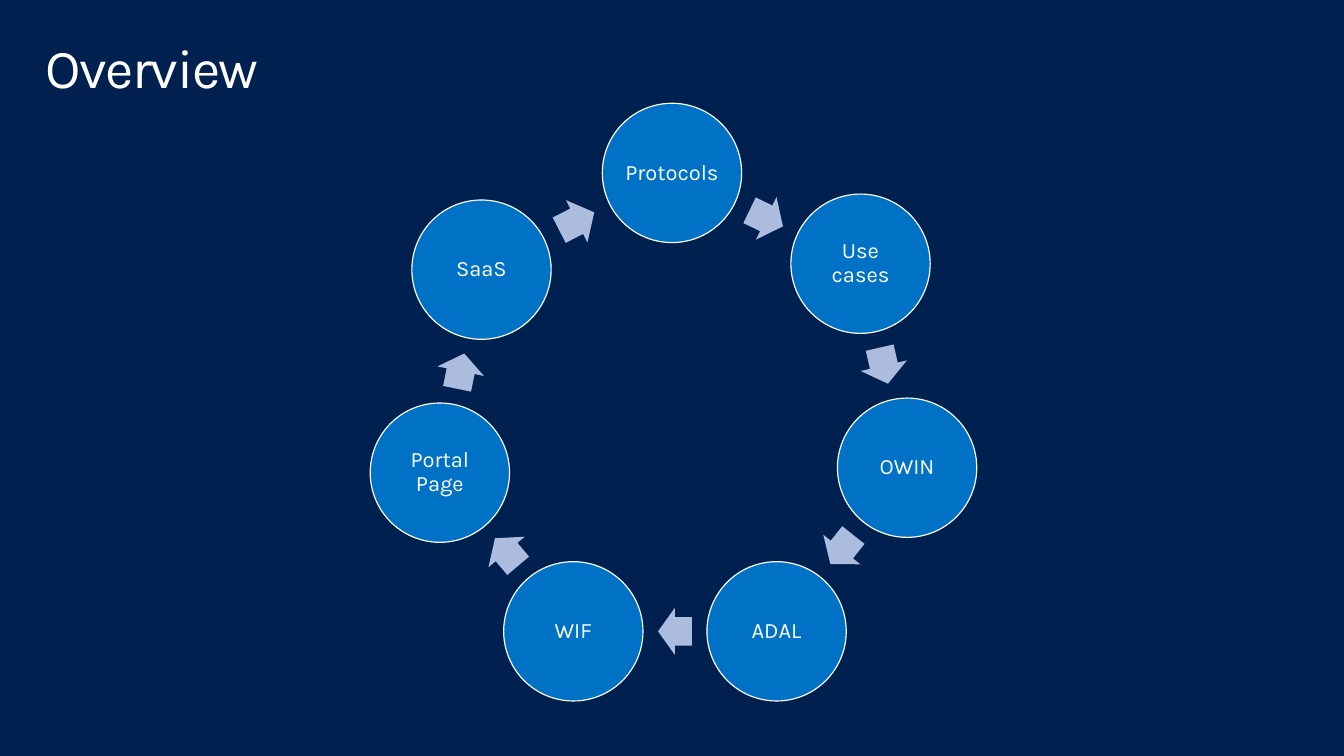
import math
import pptx
import pptx.util
import pptx.dml.color
import pptx.enum.shapes
import pptx.enum.text

Inches, Pt = pptx.util.Inches, pptx.util.Pt
SHAPE = pptx.enum.shapes.MSO_SHAPE
ALIGN = pptx.enum.text.PP_ALIGN
ANCHOR = pptx.enum.text.MSO_ANCHOR

TITLE = "Overview"
# Label and small shift off the even ring, clockwise from the top
STEPS = [
    ("Protocols", 0, 0),
    ("Use cases", 0, 0),
    ("OWIN", 0, 0),
    ("ADAL", 0, 0),
    ("WIF", 0.06, 0),
    ("Portal Page", 0.03, 0.05),
    ("SaaS", -0.02, 0.06),
]
THEME = {
    "font": "Karla", "back": "002050", "ink": "FFFFFF",
    "disc": "0072C6", "arrow": "ABBCDF",
    "title": 40, "label": 16, "edge": 0.85,
}
MID_X, MID_Y, RADIUS = 6.8, 4.19, 2.44
DISC = 1.41
ARROW_H, ARROW_FILL = 0.48, 0.53  # height; share of the gap an arrow fills


def paint(fill, name):
    fill.solid()
    fill.fore_color.rgb = pptx.dml.color.RGBColor.from_string(THEME[name])


def write(shape, text, size, align=ALIGN.LEFT, anchor=ANCHOR.TOP,
          pad=(0.02, 0.02), track=None):
    frame = shape.text_frame
    frame.word_wrap = True
    frame.vertical_anchor = anchor
    frame.margin_left = frame.margin_right = Inches(pad[0])
    frame.margin_top = frame.margin_bottom = Inches(pad[1])
    para = frame.paragraphs[0]
    para.alignment = align
    para.line_spacing = 0.9
    run = para.add_run()
    run.text = text
    run.font.name = THEME["font"]
    run.font.size = Pt(THEME[size])
    paint(run.font.fill, "ink")
    if track is not None:
        run.font._element.set("spc", str(track * 100))


def place(slide, kind, mid, width, height, color):
    """Add a filled shape centred on mid."""
    shape = slide.shapes.add_shape(
        kind, Inches(mid[0] - width / 2), Inches(mid[1] - height / 2),
        Inches(width), Inches(height))
    shape.shadow.inherit = False
    paint(shape.fill, color)
    shape.line.fill.background()
    return shape


def add_disc(slide, label, mid):
    disc = place(slide, SHAPE.OVAL, mid, DISC, DISC, "disc")
    paint(disc.line.fill, "ink")
    disc.line.width = Pt(THEME["edge"])
    write(disc, label, "label", align=ALIGN.CENTER, anchor=ANCHOR.MIDDLE)


def add_arrow(slide, start, end):
    """Centre an arrow in the gap between two discs, aimed at the second."""
    mid = [(a + b) / 2 for a, b in zip(start, end)]
    width = (math.dist(start, end) - DISC) * ARROW_FILL
    arrow = place(slide, SHAPE.RIGHT_ARROW, mid, width, ARROW_H, "arrow")
    arrow.adjustments[0] = 0.6
    arrow.adjustments[1] = 0.5
    turn = math.atan2(end[1] - start[1], end[0] - start[0])
    arrow.rotation = math.degrees(turn) % 360


def main():
    deck = pptx.Presentation()
    deck.slide_width, deck.slide_height = Inches(13.6), Inches(7.65)
    slide = deck.slides.add_slide(deck.slide_layouts[6])
    paint(slide.background.fill, "back")

    title = slide.shapes.add_textbox(
        Inches(0.3), Inches(0.32), Inches(13), Inches(1))
    write(title, TITLE, "title", pad=(0.16, 0.1), track=-1)

    mids = []
    for i, (_, dx, dy) in enumerate(STEPS):
        turn = math.tau * i / len(STEPS)
        mids.append((MID_X + RADIUS * math.sin(turn) + dx,
                     MID_Y - RADIUS * math.cos(turn) + dy))

    for i, (label, _, _) in enumerate(STEPS):
        add_disc(slide, label, mids[i])
        add_arrow(slide, mids[i], mids[(i + 1) % len(mids)])

    deck.save("out.pptx")


if __name__ == "__main__":
    main()
